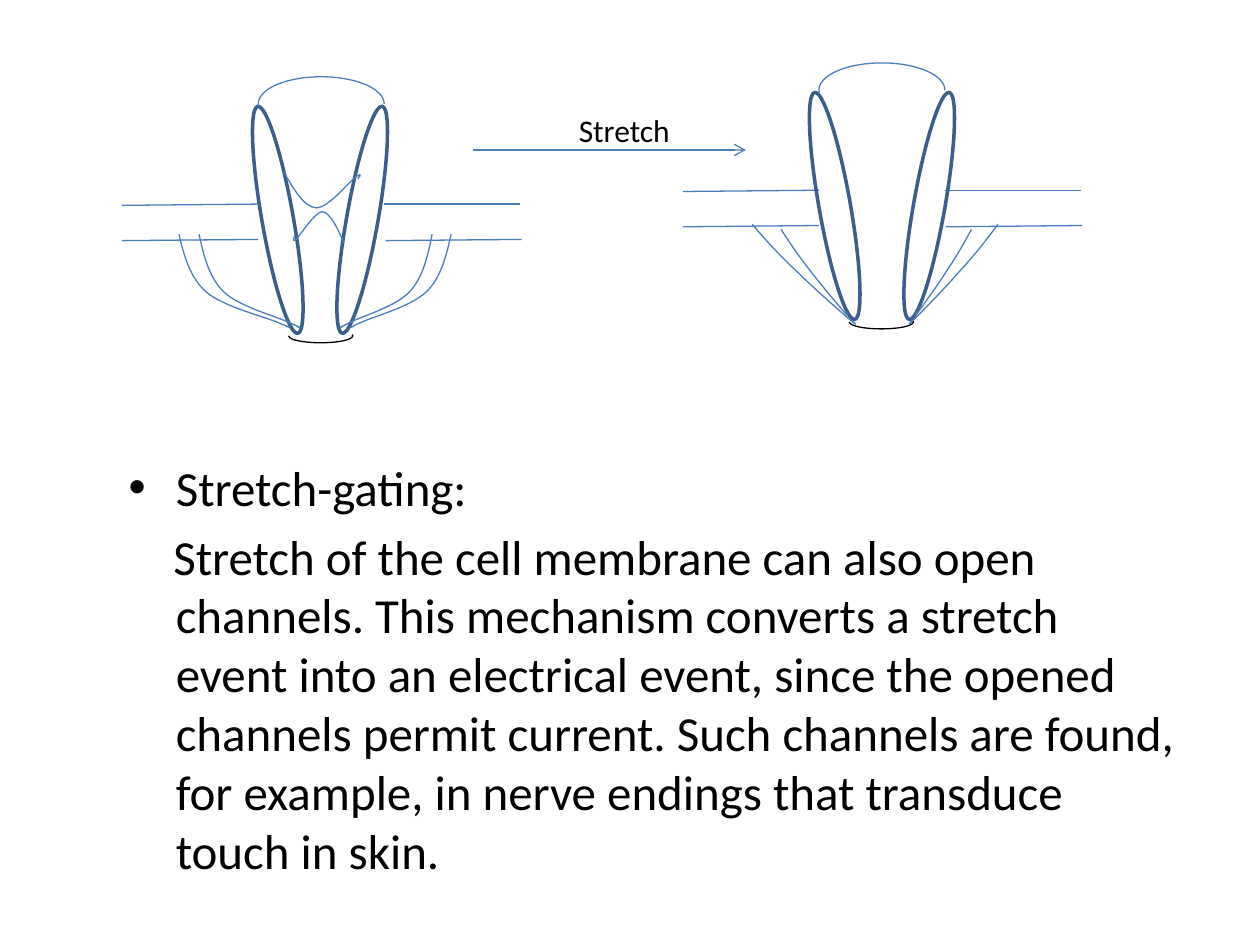
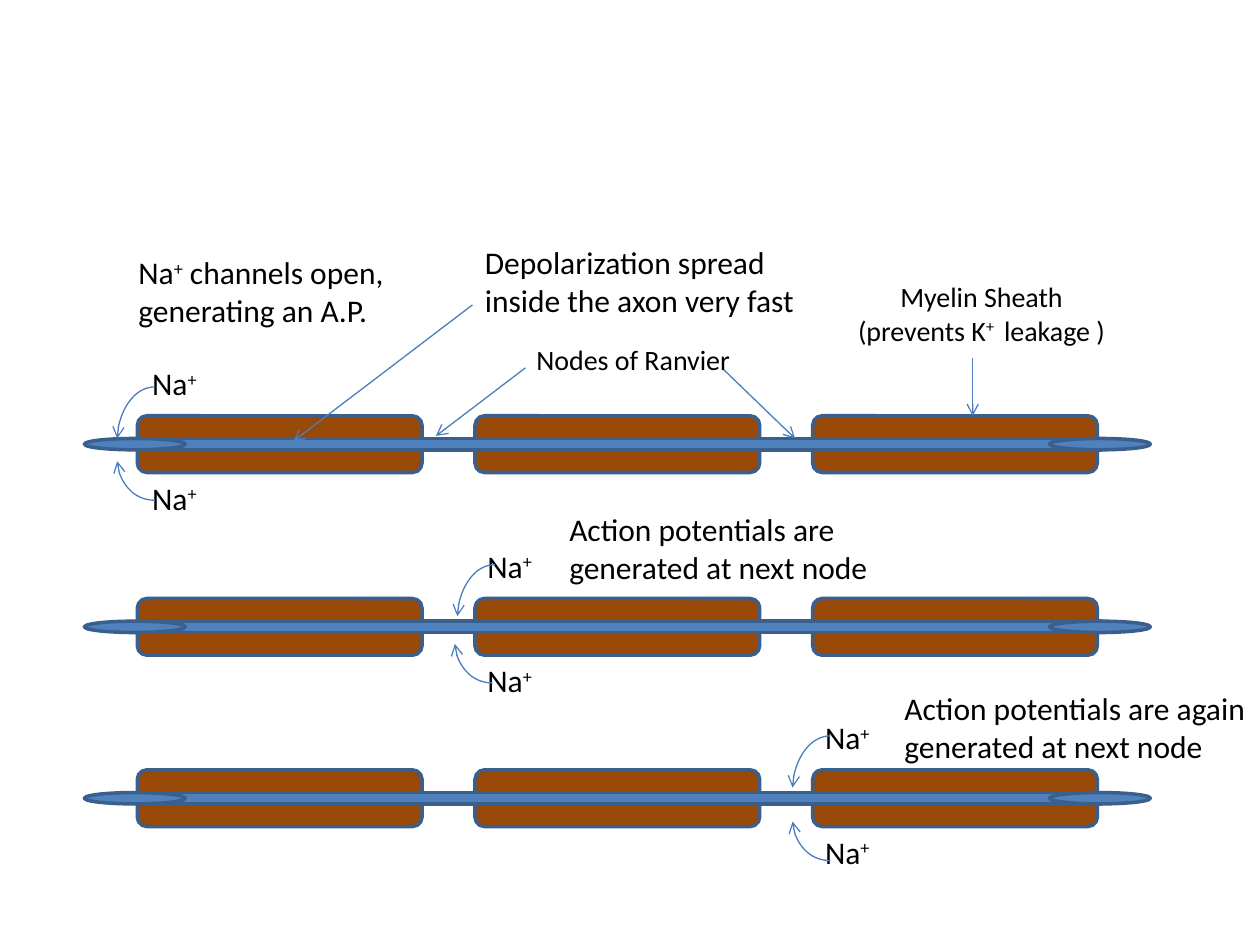
from lxml import etree
from pptx import Presentation
from pptx.dml.color import RGBColor
from pptx.enum import shapes, text
from pptx.oxml import ns
from pptx.util import Inches, Pt

FONT = "Calibri"
BLACK = "000000"
LINE_BLUE = "4B7EBC"
EDGE_BLUE = "3A5F8C"
AXON_BLUE = "4F81BD"
MYELIN_BROWN = "984807"

SLACK_TETHER = [(0, 0), (.04, .17), (.09, .35), (.22, .46), (.36, .58),
                (.71, .66), (.81, .71), (.91, .75), (.88, .74), (.85, .73)]
TAUT_TETHER = [(0, 0), (.11, .13), (.23, .26), (.36, .38), (.49, .51),
               (.72, .71), (.79, .77), (.86, .83), (.79, .76), (.79, .76)]
UPPER_GATE = [(2.25, 1.36), (2.33, 1.5), (2.41, 1.64), (2.51, 1.65), (2.61, 1.65),
              (2.77, 1.44), (2.83, 1.4), (2.89, 1.36), (2.84, 1.42), (2.84, 1.42)]
LOWER_GATE = [(2.73, 1.93), (2.68, 1.81), (2.62, 1.69), (2.56, 1.68), (2.5, 1.68),
              (2.39, 1.86), (2.35, 1.9), (2.31, 1.93), (2.34, 1.87), (2.34, 1.87)]


def color(hex_code):
    return RGBColor.from_string(hex_code)


def set_line(target, hex_code, width):
    target.line.color.rgb = color(hex_code)
    target.line.width = Pt(width)


def style_shape(shape, fill, edge, width):
    shape.shadow.inherit = False
    if fill:
        shape.fill.solid()
        shape.fill.fore_color.rgb = color(fill)
    else:
        shape.fill.background()
    set_line(shape, edge, width)


def add_preset(slide, kind, box, fill=None, edge=EDGE_BLUE, width=2):
    shape = slide.shapes.add_shape(kind, *map(Inches, box))
    style_shape(shape, fill, edge, width)
    return shape


def add_line(slide, start, end, arrow=False, kind=shapes.MSO_CONNECTOR.STRAIGHT):
    line = slide.shapes.add_connector(kind, *map(Inches, (*start, *end)))
    set_line(line, LINE_BLUE, 0.75)
    properties = line.element.spPr
    if arrow:
        outline = properties.find(ns.qn("a:ln"))
        etree.SubElement(outline, ns.qn("a:tailEnd"), type="arrow")
    etree.SubElement(properties, ns.qn("a:effectLst"))
    return line


def add_curve(slide, points):
    builder = slide.shapes.build_freeform(*map(Inches, points[0]))
    builder.add_line_segments([tuple(map(Inches, point)) for point in points[1:]],
                              close=False)
    curve = builder.convert_to_shape()
    style_shape(curve, None, LINE_BLUE, 0.75)
    segments = list(curve.element.spPr.iter(ns.qn("a:lnTo")))
    outline = segments[0].getparent()
    for first in range(0, len(segments), 3):
        bend = etree.SubElement(outline, ns.qn("a:cubicBezTo"))
        for segment in segments[first:first + 3]:
            bend.append(segment[0])
            outline.remove(segment)


def add_tether(slide, profile, start, x_scale, y_scale=1):
    add_curve(slide, [(start[0] + x * x_scale, start[1] + y * y_scale)
                      for x, y in profile])


def format_run(run, size, raised=False):
    run.font.name = FONT
    run.font.size = Pt(size)
    run.font.color.rgb = color(BLACK)
    if raised:
        run.font._element.set("baseline", "30000")


def add_label(slide, box, parts, size=18, align=text.PP_ALIGN.LEFT):
    frame = slide.shapes.add_textbox(*map(Inches, box)).text_frame
    frame.word_wrap = True
    paragraph = frame.paragraphs[0]
    paragraph.alignment = align
    for index, part in enumerate(parts):
        run = paragraph.add_run()
        run.text = part
        format_run(run, size, raised=index % 2 == 1)


def add_channel(slide, left, top, wall_lefts):
    for depth, offset, rise in ((1.02, 1, 0), (1.02, -1.08, .01),
                                (1.3, -1.08, .01), (1.3, 1.01, .01)):
        add_line(slide, (left + offset, top + depth + rise - .01),
                 (left + offset + 1.08, top + depth - .01))
    for wall_left, tilt in zip(wall_lefts, (-10, 10)):
        wall = add_preset(slide, shapes.MSO_SHAPE.OVAL, (wall_left, top + .22, .25, 1.83))
        wall.rotation = tilt
    for box, edge, turn in (((left, top, 1, .43), LINE_BLUE, 0),
                            ((left + .24, top + 2, .51, .11), BLACK, 180)):
        rim = add_preset(slide, shapes.MSO_SHAPE.ARC, box, edge=edge, width=0.75)
        rim.adjustments[0] = 106.592
        rim.adjustments[1] = 0
        rim.rotation = turn


def add_stretch_text(slide):
    body = slide.placeholders[1]
    body.left, body.top, body.width, body.height = map(Inches, (.92, 3.58, 8.52, 4.95))
    heading = body.text_frame.paragraphs[0]
    detail = body.text_frame.add_paragraph()
    for paragraph, words in (
            (heading, "Stretch-gating:"),
            (detail, "Stretch of the cell membrane can also open channels. "
                     "This mechanism converts a stretch event into an electrical event, "
                     "since the opened channels permit current. Such channels are found, "
                     "for example, in nerve endings that transduce touch in skin.")):
        run = paragraph.add_run()
        run.text = words
        format_run(run, 28)
    properties = detail._p.get_or_add_pPr()
    properties.set("indent", str(Inches(-.02)))
    etree.SubElement(properties, ns.qn("a:buNone"))


def build_stretch_slide(prs):
    slide = prs.slides.add_slide(prs.slide_layouts[1])
    title = slide.shapes.title.element
    title.getparent().remove(title)

    add_channel(slide, 2.05, .61, (2.08, 2.75))
    add_channel(slide, 6.5, .5, (6.5, 7.25))
    add_curve(slide, UPPER_GATE)
    add_curve(slide, LOWER_GATE)
    add_line(slide, (3.75, 1.19), (5.92, 1.19), arrow=True)
    add_label(slide, (3.58, .83, 2.75, .4), ["Stretch"], align=text.PP_ALIGN.CENTER)

    for start_x, x_scale in ((1.42, 1), (1.58, .91), (3.58, -.91), (3.43, -.83)):
        add_tether(slide, SLACK_TETHER, (start_x, 1.86), x_scale)
    for start, x_scale, y_scale in (((6.2, 1.82), .64, .86), ((5.97, 1.78), 1, 1),
                                    ((7.71, 1.82), -.54, .86), ((7.92, 1.78), -.86, 1)):
        add_tether(slide, TAUT_TETHER, start, x_scale, y_scale)
    add_stretch_text(slide)


def add_axon(slide, top):
    for index in range(3):
        add_preset(slide, shapes.MSO_SHAPE.ROUNDED_RECTANGLE,
                   (6.45 - 2.68 * index, top, 2.26, .45), MYELIN_BROWN)
    add_preset(slide, shapes.MSO_SHAPE.RECTANGLE, (1.2, top + .18, 7.54, .09), AXON_BLUE)
    for end_left in (8.33, .67):
        add_preset(slide, shapes.MSO_SHAPE.OVAL, (end_left, top + .18, .8, .09), AXON_BLUE)


def add_influx(slide, axon_top, ion_left, upper_tip, lower_tip):
    for ion_top, tip, rise in ((axon_top - .46, upper_tip, -.41),
                               (axon_top + .45, lower_tip, .31)):
        add_label(slide, (ion_left, ion_top, .96, .44), ["Na", "+"])
        arrow = add_line(slide, tip, (tip[0] + .3, tip[1] + rise), arrow=True,
                         kind=shapes.MSO_CONNECTOR.CURVE)
        properties = arrow.element.spPr
        properties.find(ns.qn("a:xfrm")).set("rot", "10800000")
        properties.find(ns.qn("a:prstGeom")).set("prst", "curvedConnector2")


def build_conduction_slide(prs):
    slide = prs.slides.add_slide(prs.slide_layouts[6])
    influxes = ((3.3, 1.11, (.93, 3.48), (.93, 3.66)),
                (4.75, 3.77, (3.63, 4.89), (3.61, 5.11)),
                (6.11, 6.45, (6.29, 6.25), (6.29, 6.52)))
    for axon_top, *_ in influxes:
        add_axon(slide, axon_top)
    for influx in influxes:
        add_influx(slide, *influx)

    for start, end in (((4.17, 2.92), (3.46, 3.46)), ((7.72, 2.84), (7.72, 3.3)),
                       ((5.74, 2.93), (6.31, 3.48)), ((3.75, 2.42), (2.33, 3.5))):
        add_line(slide, start, end, arrow=True)

    add_label(slide, (4.16, 2.67, 2.84, .28), ["Nodes of Ranvier"], 16)
    add_label(slide, (6.67, 2.17, 2.24, .64),
              ["Myelin Sheath (prevents K", "+ ", " leakage )"], 16, text.PP_ALIGN.CENTER)
    add_label(slide, (1, 1.96, 2.25, .71), ["Na", "+", " channels open, generating an A.P."])
    for box, words in (
            ((3.75, 1.88, 2.75, .71), "Depolarization spread inside the axon very fast"),
            ((4.42, 4, 3.17, .71), "Action potentials are generated at next node"),
            ((7.08, 5.42, 2.92, .71), "Action potentials are again generated at next node")):
        add_label(slide, box, [words])


def main():
    prs = Presentation()
    prs.slide_width = Inches(10)
    prs.slide_height = Inches(7.5)
    build_stretch_slide(prs)
    build_conduction_slide(prs)
    prs.save("out.pptx")


if __name__ == "__main__":
    main()
